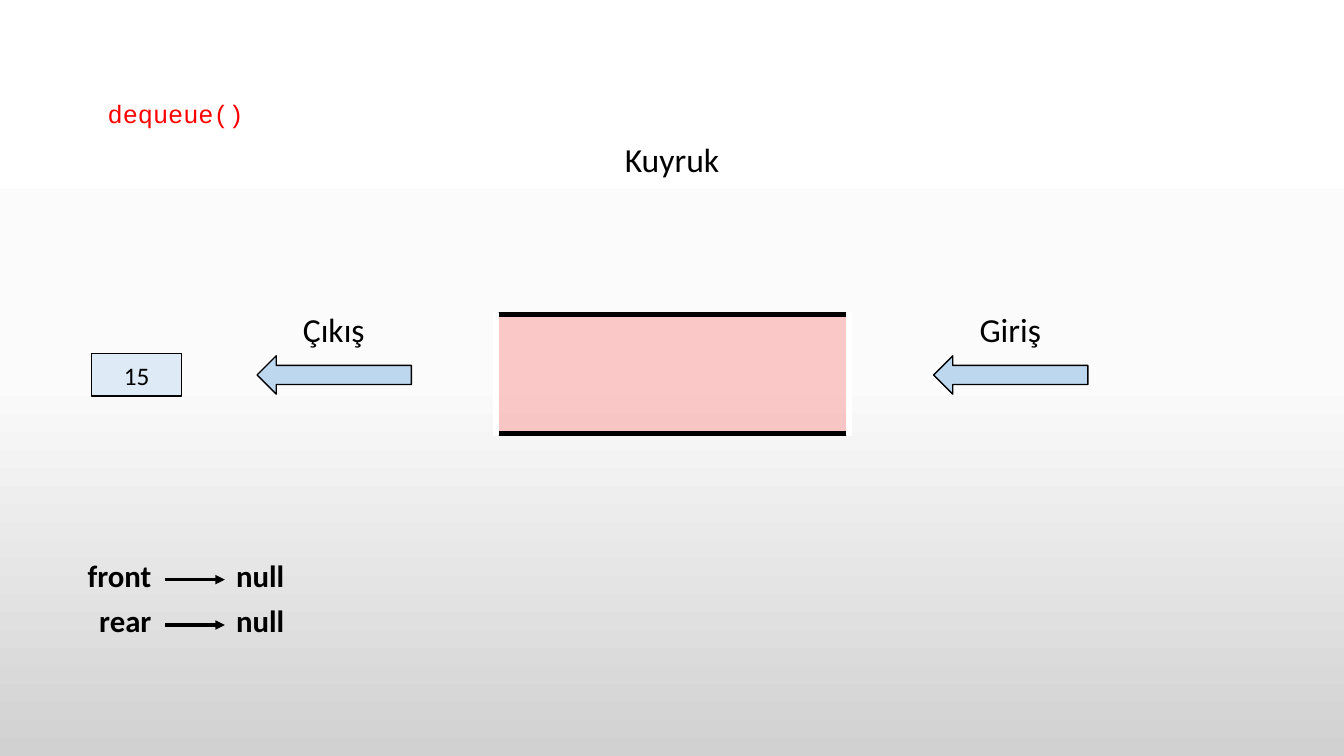
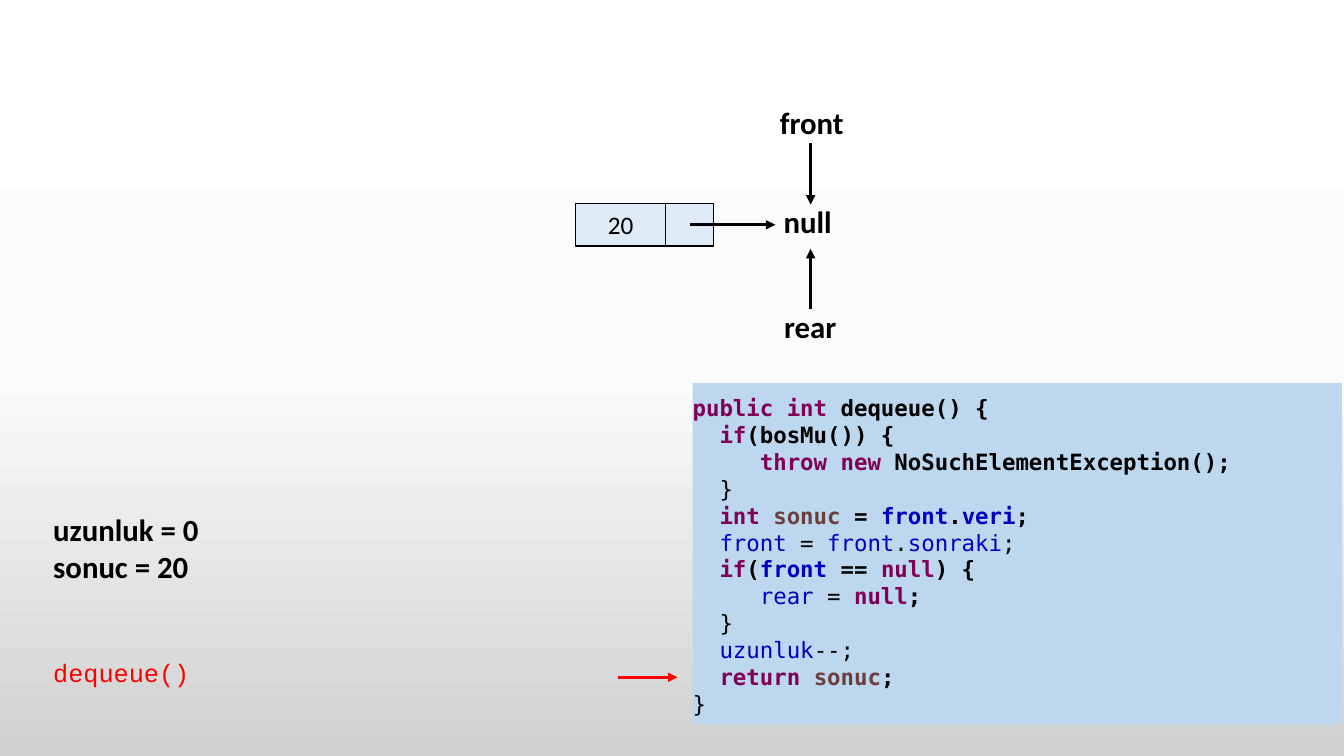
from copy import deepcopy

from lxml.etree import SubElement
from pptx import Presentation
from pptx.dml.color import RGBColor
from pptx.enum.shapes import MSO_CONNECTOR, MSO_SHAPE
from pptx.enum.text import MSO_ANCHOR as Anchor, MSO_AUTO_SIZE as AutoSize, PP_ALIGN as Align
from pptx.oxml.ns import qn
from pptx.util import Inches, Pt

BLACK = RGBColor(0x00, 0x00, 0x00)
WHITE = RGBColor(0xFF, 0xFF, 0xFF)
RED = RGBColor(0xFF, 0x00, 0x00)
PALE_BLUE = RGBColor(0xDE, 0xEB, 0xF7)
LIGHT_BLUE = RGBColor(0xBD, 0xD7, 0xEE)
PURPLE = RGBColor(0x7F, 0x00, 0x55)
BROWN = RGBColor(0x6A, 0x3E, 0x3E)
BLUE = RGBColor(0x00, 0x00, 0xC0)
BACKGROUND = [(0, WHITE), (0.5, RGBColor(0xFB, 0xFB, 0xFB)), (1, RGBColor(0xD1, 0xD1, 0xD1))]

BODY, CALL, CODE = "Calibri", "Courier New", "DejaVu Sans Mono"
NODE_W, NODE_H, LINK_W = 0.89, 0.42, 0.48

# Code styles: colour, bold
KEYWORD, LOCAL = (PURPLE, True), (BROWN, True)
STRONG, PLAIN = (BLACK, True), (BLACK, False)
STRONG_FIELD, FIELD = (BLUE, True), (BLUE, False)

# Lines of the method: indent, then runs of text and style
DEQUEUE = [
    (0, [("public int ", KEYWORD), ("dequeue() {", STRONG)]),
    (2, [("if", KEYWORD), ("(bosMu()) {", STRONG)]),
    (5, [("throw new ", KEYWORD), ("NoSuchElementException();", STRONG)]),
    (2, [("}", PLAIN)]),
    (2, [("int ", KEYWORD), ("sonuc", LOCAL), (" = ", STRONG), ("front", STRONG_FIELD),
         (".", STRONG), ("veri", STRONG_FIELD), (";", STRONG)]),
    (2, [("front", FIELD), (" = ", PLAIN), ("front", FIELD), (".", PLAIN),
         ("sonraki", FIELD), (";", PLAIN)]),
    (2, [("if", KEYWORD), ("(", STRONG), ("front", STRONG_FIELD), (" == ", STRONG),
         ("null", KEYWORD), (") {", STRONG)]),
    (5, [("rear", FIELD), (" = ", PLAIN), ("null", KEYWORD), (";", STRONG)]),
    (2, [("}", PLAIN)]),
    (2, [("uzunluk", FIELD), ("--;", PLAIN)]),
    (2, [("return ", KEYWORD), ("sonuc", LOCAL), (";", STRONG)]),
    (0, [("}", PLAIN)]),
]


# Shared parts
def new_slide(prs):
    slide = prs.slides.add_slide(prs.slide_layouts[6])
    fill = slide.background.fill
    fill.gradient()
    fill.gradient_angle = 270
    stop_list = next(slide.element.iter(qn("a:gsLst")))
    stop_list.insert(1, deepcopy(stop_list[0]))
    for stop, (position, color) in zip(fill.gradient_stops, BACKGROUND):
        stop.position = position
        stop.color.rgb = color
    return slide


def add_run(paragraph, text, size, font, color=BLACK, bold=False):
    run = paragraph.add_run()
    run.text = text
    run.font.size = Pt(size)
    run.font.name = font
    run.font.color.rgb = color
    run.font.bold = bold


def add_label(slide, left, top, width, height, lines, size=22, font=BODY,
              color=BLACK, bold=True, align=Align.CENTER):
    label = slide.shapes.add_textbox(Inches(left), Inches(top), Inches(width), Inches(height))
    frame = label.text_frame
    frame.word_wrap = False
    frame.auto_size = AutoSize.SHAPE_TO_FIT_TEXT
    for i, line in enumerate(lines):
        paragraph = frame.add_paragraph() if i else frame.paragraphs[0]
        paragraph.alignment = align
        add_run(paragraph, line, size, font, color, bold)


def add_call(slide, left, top):
    add_label(slide, left, top, 1.57, 0.4, ["dequeue()"], 18, CALL, RED, False, Align.LEFT)


def add_block(slide, left, top, width, height, fill, line=BLACK, weight=1, kind=MSO_SHAPE.RECTANGLE):
    block = slide.shapes.add_shape(kind, Inches(left), Inches(top), Inches(width), Inches(height))
    block.shadow.inherit = False
    block.fill.solid()
    block.fill.fore_color.rgb = fill
    if line is None:
        block.line.fill.background()
    else:
        block.line.color.rgb = line
        block.line.width = Pt(weight)
    return block


def add_pointer(slide, x1, y1, x2, y2, color=BLACK):
    pointer = slide.shapes.add_connector(
        MSO_CONNECTOR.STRAIGHT, Inches(x1), Inches(y1), Inches(x2), Inches(y2))
    pointer.line.color.rgb = color
    pointer.line.width = Pt(2.25)
    SubElement(pointer.line._get_or_add_ln(), qn("a:tailEnd"), type="triangle")
    SubElement(pointer.element.spPr, qn("a:effectLst"))


def add_node(slide, left, top, value):
    node = add_block(slide, left, top, NODE_W, NODE_H, PALE_BLUE)
    node.text_frame.vertical_anchor = Anchor.MIDDLE
    paragraph = node.text_frame.paragraphs[0]
    paragraph.alignment = Align.CENTER
    add_run(paragraph, value, 18, BODY)


# Queue open at both ends, with its exit and entrance
def add_queue(slide, left, top, width, height):
    center = left + width / 2
    add_label(slide, center - 0.57, top - 1.79, 1.15, 0.5, ["Kuyruk"], 24, bold=False)
    body = add_block(slide, left, top, width, height, RED, weight=3)
    SubElement(next(body.element.iter(qn("a:srgbClr"))), qn("a:alpha"), val="20000")
    for edge in (left, left + width):
        add_block(slide, edge - 0.01, top - 0.02, 0.04, height + 0.04, WHITE, WHITE)
    for text, arrow_left in (("Giriş", center + 2.6), ("Çıkış", center - 4.11)):
        add_block(slide, arrow_left, top + 0.41, 1.53, 0.38, LIGHT_BLUE, kind=MSO_SHAPE.LEFT_ARROW)
        add_label(slide, arrow_left + 0.35, top - 0.1, 0.82, 0.5, [text], 24, bold=False)


def add_null_reference(slide, left, top, name):
    add_label(slide, left, top, 0.84, 0.47, [name], align=Align.RIGHT)
    add_pointer(slide, left + 0.88, top + 0.28, left + 1.47, top + 0.28)
    add_label(slide, left + 1.48, top, 0.68, 0.47, ["null"])


# Node leaving the list, with front and rear on null
def add_linked_list(slide, left, top):
    middle, axis = top + NODE_H / 2, left + 2.33
    add_node(slide, left, top, "20")
    add_block(slide, left + NODE_W, top, LINK_W, NODE_H, PALE_BLUE)
    add_pointer(slide, left + NODE_W + LINK_W / 2, middle, left + 1.98, middle)
    add_label(slide, axis - 0.37, top - 0.06, 0.68, 0.47, ["null"])
    add_label(slide, axis - 0.41, top - 1.04, 0.84, 0.47, ["front"])
    add_pointer(slide, axis, top - 0.6, axis, top + 0.01)
    add_label(slide, axis - 0.37, top + 0.98, 0.73, 0.47, ["rear"])
    add_pointer(slide, axis, top + 1.05, axis, top + 0.45)


def add_code(slide, left, top, width, height, lines):
    panel = add_block(slide, left, top, width, height, LIGHT_BLUE, None)
    frame = panel.text_frame
    frame.word_wrap = True
    frame.auto_size = AutoSize.SHAPE_TO_FIT_TEXT
    frame.vertical_anchor = Anchor.BOTTOM
    frame.margin_left = frame.margin_right = 0
    frame.margin_top = frame.margin_bottom = Inches(0.08)
    for i, (indent, runs) in enumerate(lines):
        paragraph = frame.add_paragraph() if i else frame.paragraphs[0]
        paragraph.alignment = Align.LEFT
        if indent:
            add_run(paragraph, " " * indent, 16, CODE)
        for text, (color, bold) in runs:
            add_run(paragraph, text, 16, CODE, color, bold)


# Slides
def build_queue_slide(prs):
    slide = new_slide(prs)
    add_queue(slide, 4.91, 3.12, 3.5, 1.18)
    add_call(slide, 0.97, 0.93)
    add_node(slide, 0.91, 3.51, "15")
    for i, name in enumerate(("front", "rear")):
        add_null_reference(slide, 0.76, 5.47 + 0.45 * i, name)


def build_code_slide(prs):
    slide = new_slide(prs)
    add_linked_list(slide, 5.71, 2.02)
    add_label(slide, 0.43, 5.02, 1.66, 0.84, ["uzunluk = 0", "sonuc = 20"], align=Align.LEFT)
    add_call(slide, 0.43, 6.47)
    add_pointer(slide, 6.13, 6.72, 6.72, 6.72, RED)
    add_code(slide, 6.87, 3.8, 6.44, 3.39, DEQUEUE)


def main():
    prs = Presentation()
    prs.slide_width, prs.slide_height = Inches(13.33), Inches(7.5)
    build_queue_slide(prs)
    build_code_slide(prs)
    prs.save("out.pptx")


if __name__ == "__main__":
    main()
